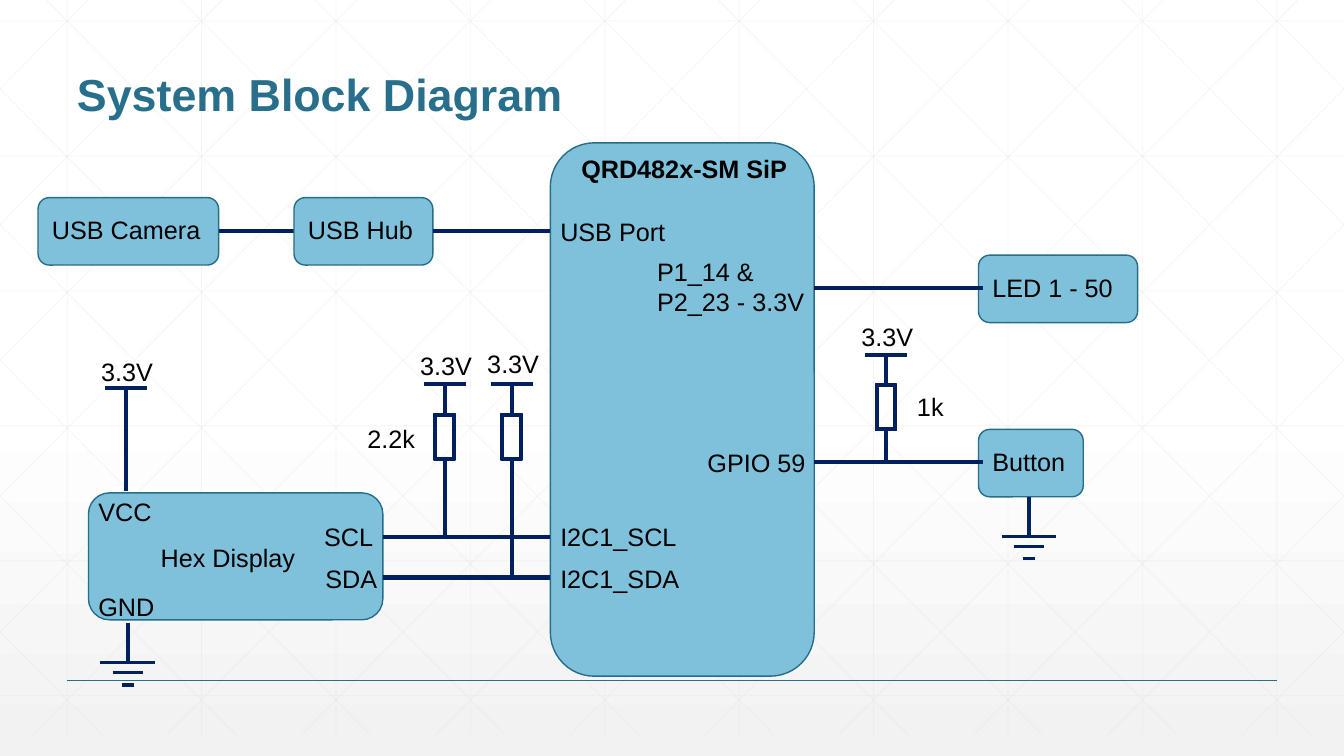
from collections import namedtuple

from lxml import etree
from pptx import Presentation
from pptx.dml.color import RGBColor
from pptx.enum.shapes import MSO_CONNECTOR, MSO_SHAPE
from pptx.enum.text import MSO_ANCHOR
from pptx.oxml.ns import qn
from pptx.util import Cm, Pt

STRAIGHT = MSO_CONNECTOR.STRAIGHT
ROUNDED = MSO_SHAPE.ROUNDED_RECTANGLE
FRAME = MSO_SHAPE.FRAME
TOP, BOTTOM = MSO_ANCHOR.TOP, MSO_ANCHOR.BOTTOM

WIDTH, HEIGHT = 33.87, 19.05
NAVY, TEAL, EDGE, SKY = "002060", "276F8B", "266D8A", "7FC1DB"
LABEL = {"name": "Arial", "size": Pt(18), "bold": False}
HEADING = {**LABEL, "bold": True}
TITLE = {**HEADING, "size": Pt(32)}

Box = namedtuple("Box", "left top width height")


def color(value):
    return RGBColor.from_string(value)


def add_line(page, x1, y1, x2, y2, weight=3, tint=NAVY, opacity=None):
    line = page.shapes.add_connector(STRAIGHT, Cm(x1), Cm(y1), Cm(x2), Cm(y2))
    line.line.width = Pt(weight)
    line.line.color.rgb = color(tint)
    properties = line._element.spPr
    if opacity:
        tone = next(properties.iter(qn("a:srgbClr")))
        etree.SubElement(tone, qn("a:alpha")).set("val", str(opacity * 1000))
    etree.SubElement(properties, qn("a:effectLst"))


def add_shape(page, kind, box, fill, edge):
    shape = page.shapes.add_shape(kind, *map(Cm, box))
    shape.shadow.inherit = False
    shape.fill.solid()
    shape.fill.fore_color.rgb = color(fill)
    shape.line.color.rgb = color(edge)
    shape.line.width = Pt(1)


def add_label(page, text, left, top, width=4.6, height=1.03,
              font=LABEL, tint="000000", anchor=TOP, spacing=1.0):
    frame = page.shapes.add_textbox(
        Cm(left), Cm(top), Cm(width), Cm(height)).text_frame
    frame.word_wrap = True
    frame.vertical_anchor = anchor
    para = frame.paragraphs[0]
    para.line_spacing = spacing
    span = para.add_run()
    span.text = text
    for name, value in font.items():
        setattr(span.font, name, value)
    span.font.color.rgb = color(tint)


def draw_backdrop(page, box):
    fill = page.background.fill
    fill.gradient()
    fill.gradient_angle = 270
    for stop, position, tint in zip(fill.gradient_stops, (0.53, 1), ("FFFFFF", "F2F2F2")):
        stop.position = position
        stop.color.rgb = color(tint)
    faint = {"weight": 0.5, "tint": "D9D9D9", "opacity": 25}
    step, floor, slope = box.width / 10, 18.52, 0.99
    right = box.left + box.width
    for column in range(10):
        x = box.left + step * (column + 0.5)
        add_line(page, x, box.top, x, box.top + floor, **faint)
    for row in range(6):
        y = box.top + 0.53 + 3.4 * row
        add_line(page, box.left, y, right, y, **faint)
    for diagonal in range(-5, 10):
        start = 1.17 + step * diagonal
        upper = max(0, -start / slope)
        lower = min(floor, (box.width - start) / slope)
        x1, x2 = start + slope * upper, start + slope * lower
        y1, y2 = box.top + upper, box.top + lower
        add_line(page, box.left + x1, y1, box.left + x2, y2, **faint)
        add_line(page, right - x1, y1, right - x2, y2, **faint)


def draw_title(page, box):
    add_line(page, box.left, 17.15, box.left + box.width, 17.15, 1, TEAL)
    add_label(page, "System Block Diagram", *box, TITLE, TEAL, BOTTOM, 0.9)


def draw_block(page, box, labels):
    add_shape(page, ROUNDED, box, SKY, EDGE)
    for text, x, y in labels:
        add_label(page, text, box.left + x, box.top + y)


def draw_processor(page, box):
    draw_block(page, box, [
        ("USB Port", 0, 1.73),
        ("GPIO 59", 3.71, 7.54),
        ("I2C1_SCL", 0, 9.4),
        ("I2C1_SDA", 0, 10.46),
    ])
    add_label(page, "QRD482x-SM SiP", box.left + 0.53, box.top + 0.13, 5.9, font=HEADING)
    add_label(page, "P1_14 & P2_23 - 3.3V", box.left + 2.44, box.top + 2.74, 4.24, 1.8)


def draw_usb_chain(page, box):
    wire = box.top + box.height / 2
    right = box.left + box.width
    camera = Box(box.left, box.top, 4.55, box.height)
    hub = Box(box.left + 6.45, box.top, 3.5, box.height)
    for part, name, end in ((camera, "USB Camera", hub.left), (hub, "USB Hub", right)):
        draw_block(page, part, [(name, 0.1, 0.3)])
        add_line(page, part.left + part.width, wire, end, wire)


def draw_supply(page, x, y, rise):
    add_line(page, x - 0.53, y, x + 0.53, y)
    add_label(page, "3.3V", x - 0.87, y - rise, 2)


def draw_pull_up(page, x, y, bottom, rise):
    draw_supply(page, x, y, rise)
    add_shape(page, FRAME, Box(x - 0.27, y + 0.74, 0.53, 1.17), NAVY, NAVY)
    add_line(page, x, y, x, y + 0.8)
    add_line(page, x, y + 1.88, x, bottom)


def draw_ground(page, x, y):
    add_line(page, x, y, x, y + 1)
    for drop, half in ((1, 0.69), (1.25, 0.38), (1.56, 0.15)):
        add_line(page, x - half, y + drop, x + half, y + drop, 2.25)


def draw_display(page, box, port):
    draw_block(page, box, [
        ("VCC", 0, -0.05),
        ("GND", 0, 2.36),
        ("Hex Display", 1.57, 1.12),
        ("SCL", 5.69, 0.58),
        ("SDA", 5.72, 1.65),
    ])
    right = box.left + box.width
    supply = box.left + 0.94
    draw_supply(page, supply, box.top - 2.64, 0.92)
    add_line(page, supply, box.top - 2.64, supply, box.top - 0.05)
    draw_ground(page, box.left + 0.99, box.top + box.height + 0.08)
    for drop, reach, rise in ((1.12, 1.56, 0.97), (2.13, 3.25, 1.03)):
        wire = box.top + drop
        add_line(page, right, wire, port, wire)
        draw_pull_up(page, right + reach, box.top - 2.74, wire, rise)
    add_label(page, "2.2k", right - 0.64, box.top - 1.88, 2)


def draw_output(page, box, name, port):
    draw_block(page, box, [(name, 0.1, 0.31)])
    wire = box.top + box.height / 2 - 0.03
    add_line(page, port, wire, box.left + 0.1, wire)
    return wire


def draw_button(page, box, port):
    wire = draw_output(page, box, "Button", port)
    draw_pull_up(page, box.left - 2.33, box.top - 1.88, wire, 0.96)
    add_label(page, "1k", box.left - 1.8, box.top - 1.09, 2)
    draw_ground(page, box.left + 1.27, box.top + box.height)


deck = Presentation()
deck.slide_width, deck.slide_height = Cm(WIDTH), Cm(HEIGHT)
page = deck.slides.add_slide(deck.slide_layouts[6])

processor = Box(13.87, 3.6, 6.65, 13.44)
processor_right = processor.left + processor.width
draw_backdrop(page, Box(0, 0, WIDTH, HEIGHT))
draw_title(page, Box(1.69, 0.64, 30.48, 2.54))
draw_processor(page, processor)
draw_usb_chain(page, Box(0.96, 4.98, processor.left - 0.96, 1.7))
draw_display(page, Box(2.23, 12.42, 7.42, 3.2), processor.left)
draw_output(page, Box(24.66, 6.43, 4.01, 1.7), "LED 1 - 50", processor_right)
draw_button(page, Box(24.66, 10.82, 2.64, 1.7), processor_right)

deck.save("out.pptx")
